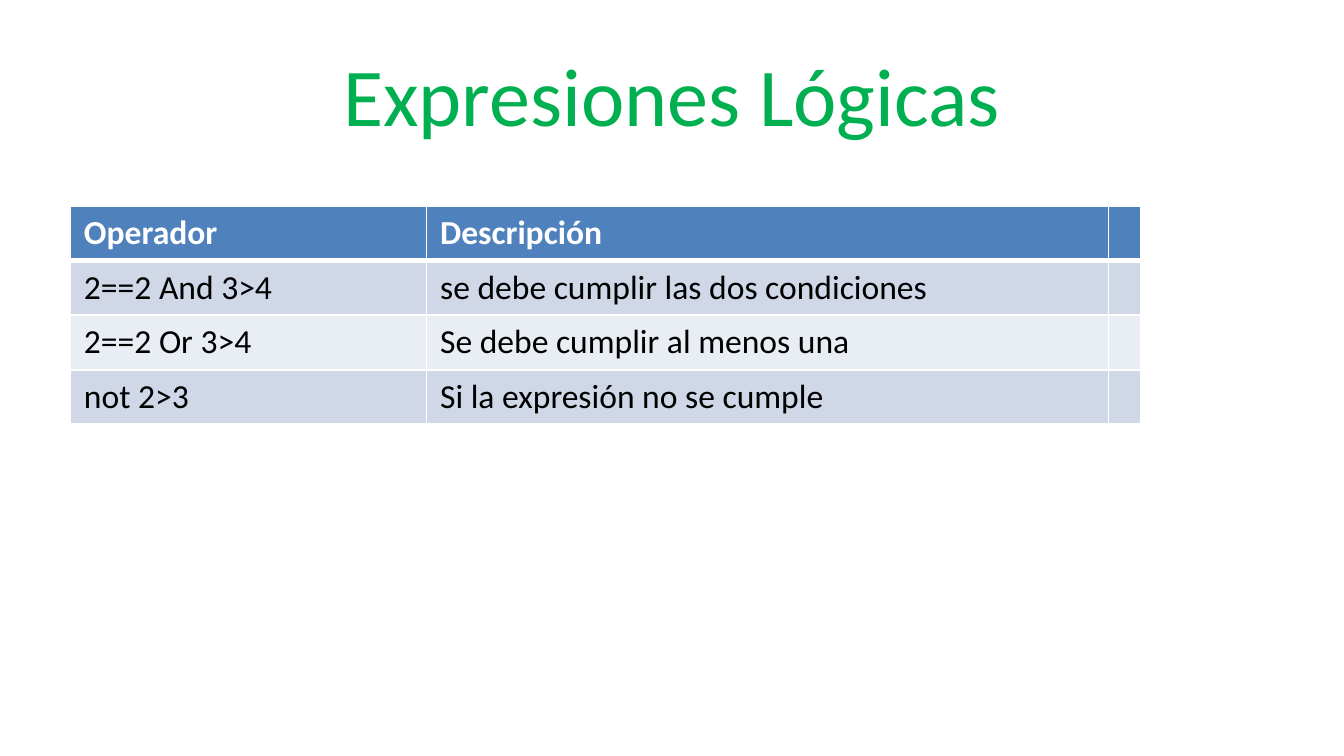
import pptx
import pptx.util
import pptx.dml.color
import pptx.enum.text
import pptx.oxml
import pptx.oxml.ns

Pt = pptx.util.Pt
Align = pptx.enum.text.PP_ALIGN
Anchor = pptx.enum.text.MSO_ANCHOR

TITLE = "Expresiones Lógicas"
ROWS = [
    ("Operador", "Descripción", ""),
    ("2==2 And 3>4", "se debe cumplir las dos condiciones", ""),
    ("2==2 Or 3>4", "Se debe cumplir al menos una", ""),
    ("not 2>3", "Si la expresión no se cumple", ""),
]
COLORS = {
    "title": "00B050",
    "head": "4F81BD",
    "odd": "D0D8E8",
    "even": "E9EDF4",
    "white": "FFFFFF",
    "black": "000000",
}
FONT = "Calibri"
WIDTHS = [190.8, 365.2, 16.4]
HEIGHT = 29.2
LEFT, TOP = 37.8, 110.5


def color(name):
    return pptx.dml.color.RGBColor.from_string(COLORS[name])


def write(frame, text, size=18, ink="black", bold=False, align=Align.LEFT):
    para = frame.paragraphs[0]
    para.alignment = align
    run = para.add_run()
    run.text = text
    run.font.name = FONT
    run.font.size = Pt(size)
    run.font.bold = bold
    run.font.color.rgb = color(ink)


def border(cell, top, base):
    props = cell._tc.get_or_add_tcPr()
    for side, width in (("L", 1), ("R", 1), ("T", top), ("B", base)):
        props.append(pptx.oxml.parse_xml(
            f'<a:ln{side} {pptx.oxml.ns.nsdecls("a")} w="{Pt(width)}">'
            f'<a:solidFill><a:srgbClr val="{COLORS["white"]}"/></a:solidFill>'
            f'</a:ln{side}>'))


def main():
    deck = pptx.Presentation()
    deck.slide_width, deck.slide_height = Pt(720), Pt(405)
    slide = deck.slides.add_slide(deck.slide_layouts[6])

    title = slide.shapes.add_textbox(Pt(36), Pt(16.2), Pt(648), Pt(67.5))
    title.text_frame.word_wrap = True
    title.text_frame.vertical_anchor = Anchor.MIDDLE
    write(title.text_frame, TITLE, size=44, ink="title", align=Align.CENTER)

    table = slide.shapes.add_table(
        len(ROWS), len(WIDTHS), Pt(LEFT), Pt(TOP),
        Pt(sum(WIDTHS)), Pt(HEIGHT * len(ROWS))).table
    for col, width in zip(table.columns, WIDTHS):
        col.width = Pt(width)
    for i, texts in enumerate(ROWS):
        table.rows[i].height = Pt(HEIGHT)
        head = i == 0
        fill = "head" if head else "odd" if i % 2 else "even"
        for j, text in enumerate(texts):
            cell = table.cell(i, j)
            border(cell, top=3 if i == 1 else 1, base=3 if head else 1)
            cell.fill.solid()
            cell.fill.fore_color.rgb = color(fill)
            if text:
                write(cell.text_frame, text, bold=head,
                      ink="white" if head else "black")

    deck.save("out.pptx")


if __name__ == "__main__":
    main()
